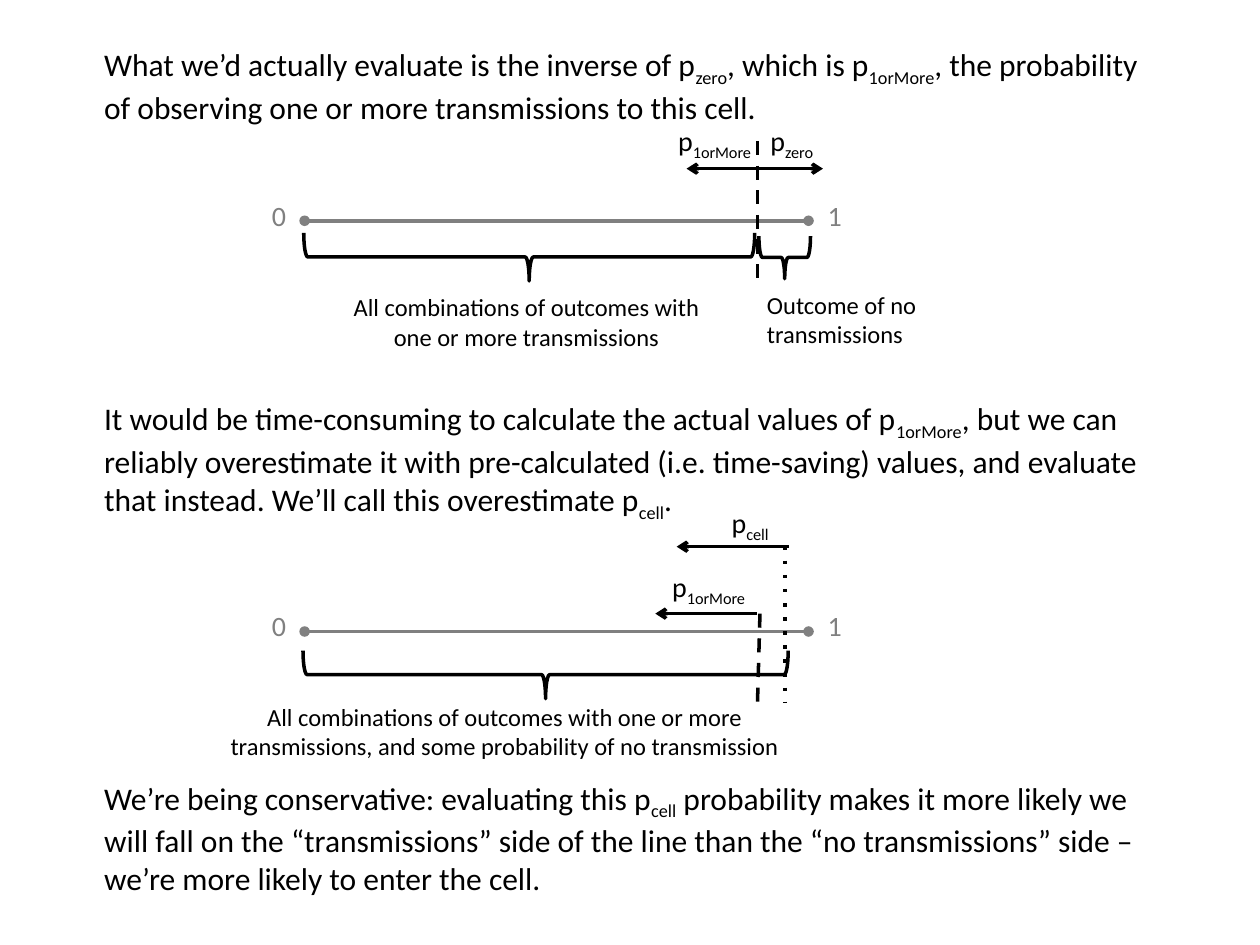
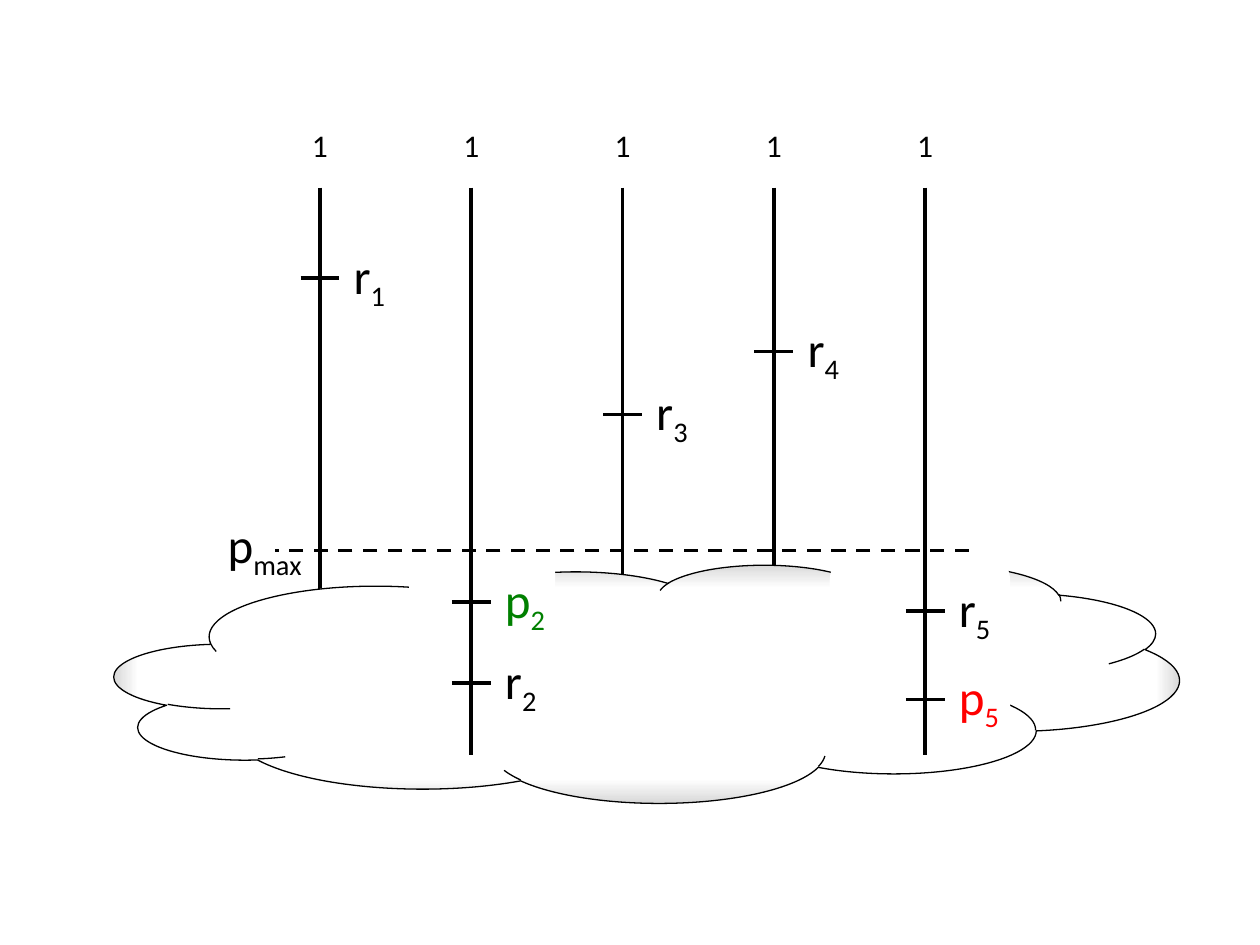
from dataclasses import dataclass

from lxml import etree
from pptx import Presentation
from pptx.dml.color import RGBColor
from pptx.enum.shapes import MSO_CONNECTOR, MSO_SHAPE
from pptx.enum.text import PP_ALIGN
from pptx.oxml.ns import qn
from pptx.util import Cm, Pt

STRAIGHT = MSO_CONNECTOR.STRAIGHT
LEFT_BRACE, CLOUD = MSO_SHAPE.LEFT_BRACE, MSO_SHAPE.CLOUD
ROUNDED_RECTANGLE = MSO_SHAPE.ROUNDED_RECTANGLE
LEFT, CENTER, RIGHT = PP_ALIGN.LEFT, PP_ALIGN.CENTER, PP_ALIGN.RIGHT


@dataclass(frozen=True)
class Theme:
    font: str = "Calibri"
    black: RGBColor = RGBColor(0, 0, 0)
    white: RGBColor = RGBColor(255, 255, 255)
    grey: RGBColor = RGBColor(0x80, 0x80, 0x80)
    pale_grey: RGBColor = RGBColor(0xD9, 0xD9, 0xD9)
    green: RGBColor = RGBColor(0, 0x80, 0)
    red: RGBColor = RGBColor(255, 0, 0)
    variable_size: int = 28
    body_size: int = 18
    label_size: int = 16
    caption_size: int = 14
    stroke: float = 2
    thin_stroke: float = 0.75


THEME = Theme()


@dataclass
class Region:
    """Part of a slide; all positions are centimetres from its origin."""
    slide: object
    left: float = 0
    top: float = 0

    def place(self, x, y):
        return Cm(self.left + x), Cm(self.top + y)

    def text(self, content, x, y, width, height, size,
             color=THEME.black, align=LEFT):
        """Add a text box; parts between bars are subscripts."""
        box = self.slide.shapes.add_textbox(*self.place(x, y), Cm(width), Cm(height))
        box.text_frame.word_wrap = True
        paragraph = box.text_frame.paragraphs[0]
        paragraph.alignment = align
        paragraph.font.name = THEME.font
        paragraph.font.size = Pt(size)
        paragraph.font.color.rgb = color
        for index, part in enumerate(content.split("|")):
            if not part:
                continue
            run = paragraph.add_run()
            run.text = part
            if index % 2:
                run._r.get_or_add_rPr().set("baseline", "-25000")

    def line(self, start, end, color=THEME.black, dash=None, head=None, tail=None):
        connector = self.slide.shapes.add_connector(
            STRAIGHT, *self.place(*start), *self.place(*end))
        connector.line.color.rgb = color
        connector.line.width = Pt(THEME.stroke)
        properties = connector._element.spPr
        outline = properties.find(qn("a:ln"))
        if dash:
            etree.SubElement(outline, qn("a:prstDash"), val=dash)
        for tag, kind in (("a:headEnd", head), ("a:tailEnd", tail)):
            if kind:
                etree.SubElement(outline, qn(tag), type=kind)
        etree.SubElement(properties, qn("a:effectLst"))

    def shape(self, kind, x, y, width, height, color, weight):
        shape = self.slide.shapes.add_shape(
            kind, *self.place(x, y), Cm(width), Cm(height))
        shape.shadow.inherit = False
        shape.fill.background()
        shape.line.color.rgb = color
        shape.line.width = Pt(weight)
        return shape

    def brace_below(self, center_x, center_y, span, depth):
        brace = self.shape(LEFT_BRACE, center_x - depth / 2, center_y - span / 2,
                           depth, span, THEME.black, THEME.stroke)
        brace.rotation = 270


def add_body_text(slide, content, top, height):
    Region(slide, 1.85, top).text(content, 0, 0, 21.72, height, THEME.body_size)


def add_probability_axis(region):
    region.line((1.04, 0), (11.2, 0), THEME.grey, head="oval", tail="oval")
    for value, x in (("0", 0), ("1", 11.2)):
        region.text(value, x, -0.58, 1.05, 0.94, THEME.label_size, THEME.grey, CENTER)


def add_exact_split(slide, left, top):
    """Show the axis divided between p1orMore and pzero."""
    region = Region(slide, left, top)
    add_probability_axis(region)
    split = 10.17
    region.line((split, -1.61), (split, 1.21), dash="dash")
    region.line((8.74, -1.05), (11.49, -1.05), head="arrow", tail="arrow")
    for label, x, width in (("p|1orMore|", 7.9, 2.39), ("p|zero|", 9.66, 1.88)):
        region.text(label, x, -2.09, width, 0.94, THEME.label_size, align=RIGHT)
    region.brace_below(5.57, 0.73, 9.09, 0.97)
    region.brace_below(10.72, 0.74, 1.04, 0.86)
    region.text("All combinations of outcomes with one or more transmissions",
                1.73, 1.32, 7.57, 1.45, THEME.caption_size, align=CENTER)
    region.text("Outcome of no transmissions",
                10.11, 1.27, 4.22, 1.45, THEME.caption_size)


def add_overestimate(slide, left, top):
    """Show the axis with p1orMore and its overestimate pcell."""
    region = Region(slide, left, top)
    add_probability_axis(region)
    exact_y, cell_y, marker_bottom = -0.36, -1.71, 1.44
    region.line((10.22, exact_y), (10.17, marker_bottom), dash="dash")
    region.line((10.72, cell_y), (10.72, marker_bottom), dash="dot")
    region.line((10.17, exact_y), (8.11, exact_y), tail="arrow")
    region.line((10.8, cell_y), (8.54, cell_y), tail="arrow")
    region.text("p|1orMore|", 7.78, -1.38, 2.39, 0.94, THEME.label_size, align=RIGHT)
    region.text("p|cell|", 9.4, -2.67, 1.91, 0.94, THEME.label_size)
    region.brace_below(5.9, 0.87, 9.78, 0.97)
    region.text("All combinations of outcomes with one or more transmissions, "
                "and some probability of no transmission",
                -1.06, 1.29, 12.27, 1.45, THEME.caption_size, align=CENTER)


def add_strand(slide, left, top, marks):
    """Draw one vertical axis with marks given as (label, depth, color)."""
    region = Region(slide, left, top)
    region.text("1", -0.41, -1.37, 0.84, 1.02, THEME.body_size)
    region.line((0, 0), (0, 11.43))
    for label, depth, color in marks:
        region.line((-0.39, depth), (0.39, depth))
        region.text(label, 0.43, depth - 0.79, 2.51, 1.45, THEME.variable_size, color)


def add_cloud(slide, left, top):
    """Draw the cloud and the two clear windows in it."""
    region = Region(slide, left, top)
    cloud = region.shape(CLOUD, 0, 0, 21.46, 4.8, THEME.black, THEME.thin_stroke)
    cloud.fill.gradient()
    stops = cloud.fill.gradient_stops
    for stop, position, color in zip(stops, (0.8, 1), (THEME.white, THEME.pale_grey)):
        stop.position = position
        stop.color.rgb = color
    gradient = cloud._element.spPr.find(qn("a:gradFill"))
    gradient.remove(gradient.find(qn("a:lin")))
    outward = etree.SubElement(gradient, qn("a:path"), path="shape")
    etree.SubElement(outward, qn("a:fillToRect"),
                     {side: "50000" for side in "ltrb"})
    for box in ((5.95, -0.61, 2.92, 4.45), (14.43, -0.28, 3.61, 4.11)):
        window = region.shape(ROUNDED_RECTANGLE, *box, THEME.white, THEME.thin_stroke)
        window.fill.solid()
        window.fill.fore_color.rgb = THEME.white


def add_threshold(slide, left, top):
    region = Region(slide, left, top)
    region.line((15.19, 0), (1.2, 0), dash="dash")
    region.text("p|max|", 0, -0.86, 2.51, 1.45, THEME.variable_size)


def build_estimate_slide(slide):
    add_body_text(slide, "What we’d actually evaluate is the inverse of p|zero|, "
                  "which is p|1orMore|, the probability of observing one or more "
                  "transmissions to this cell.", 0.79, 1.8)
    add_exact_split(slide, 5.1, 4.45)
    add_body_text(slide, "It would be time-consuming to calculate the actual values "
                  "of p|1orMore|, but we can reliably overestimate it with "
                  "pre-calculated (i.e. time-saving) values, and evaluate that "
                  "instead. We’ll call this overestimate p|cell|.", 7.92, 2.57)
    add_overestimate(slide, 5.1, 12.73)
    add_body_text(slide, "We’re being conservative: evaluating this p|cell| "
                  "probability makes it more likely we will fall on the "
                  "“transmissions” side of the line than the “no transmissions” "
                  "side – we’re more likely to enter the cell.", 15.57, 2.57)


def build_threshold_slide(slide):
    first_x, pitch, top = 6.45, 3.05, 3.78
    behind_cloud = {0: [("r|1|", 1.83, THEME.black)],
                    2: [("r|3|", 4.58, THEME.black)],
                    3: [("r|4|", 3.31, THEME.black)]}
    before_cloud = {1: [("p|2|", 8.36, THEME.green), ("r|2|", 9.99, THEME.black)],
                    4: [("r|5|", 8.54, THEME.black), ("p|5|", 10.32, THEME.red)]}

    def add_strands(strands):
        for column, marks in strands.items():
            add_strand(slide, first_x + column * pitch, top, marks)

    add_strands(behind_cloud)
    add_cloud(slide, 2.31, 11.38)
    add_strands(before_cloud)
    add_threshold(slide, 4.34, 11.1)


def main():
    presentation = Presentation()
    presentation.slide_width, presentation.slide_height = Cm(25.4), Cm(19.05)
    blank = presentation.slide_layouts[6]
    for build in (build_estimate_slide, build_threshold_slide):
        build(presentation.slides.add_slide(blank))
    presentation.save("out.pptx")


if __name__ == "__main__":
    main()
